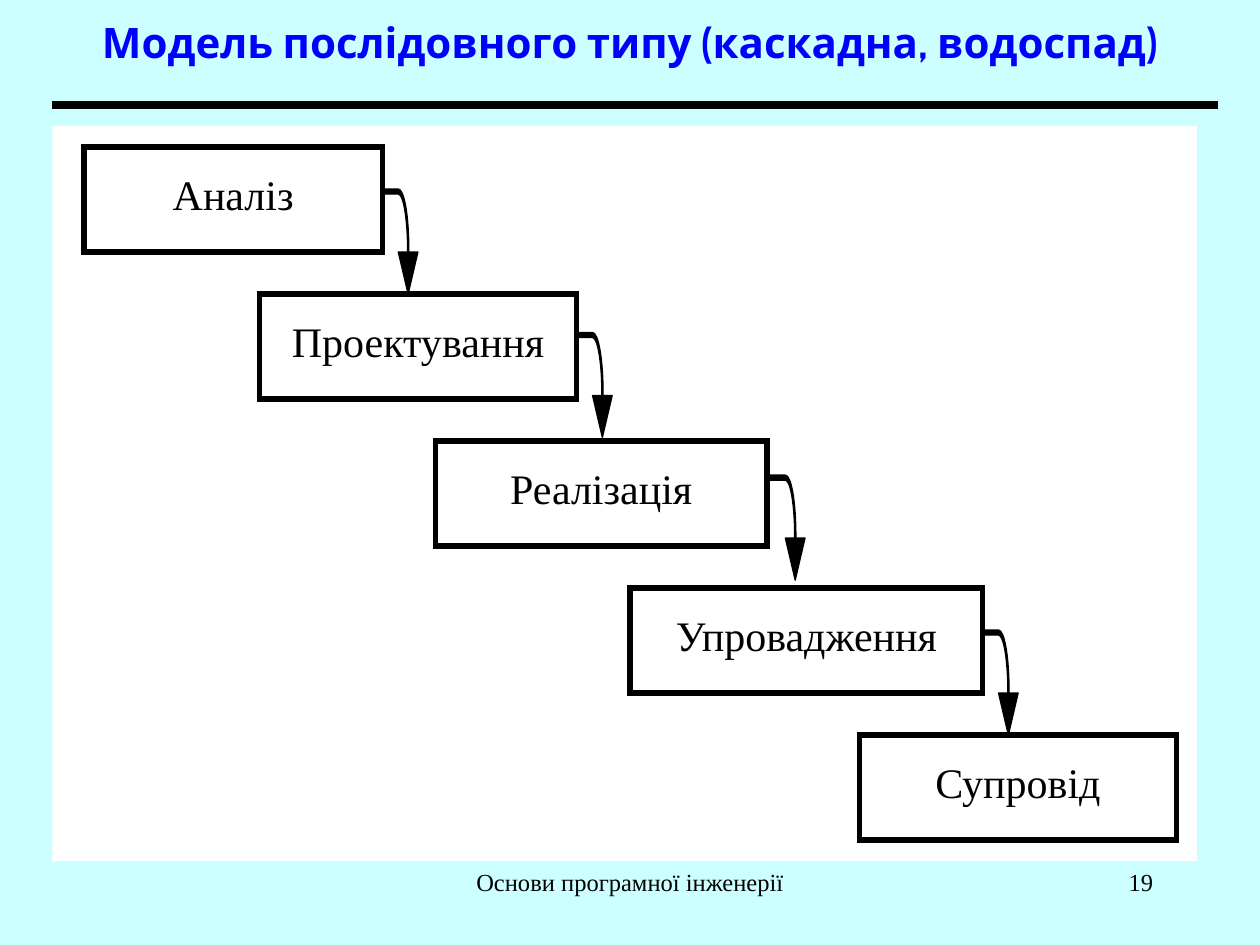
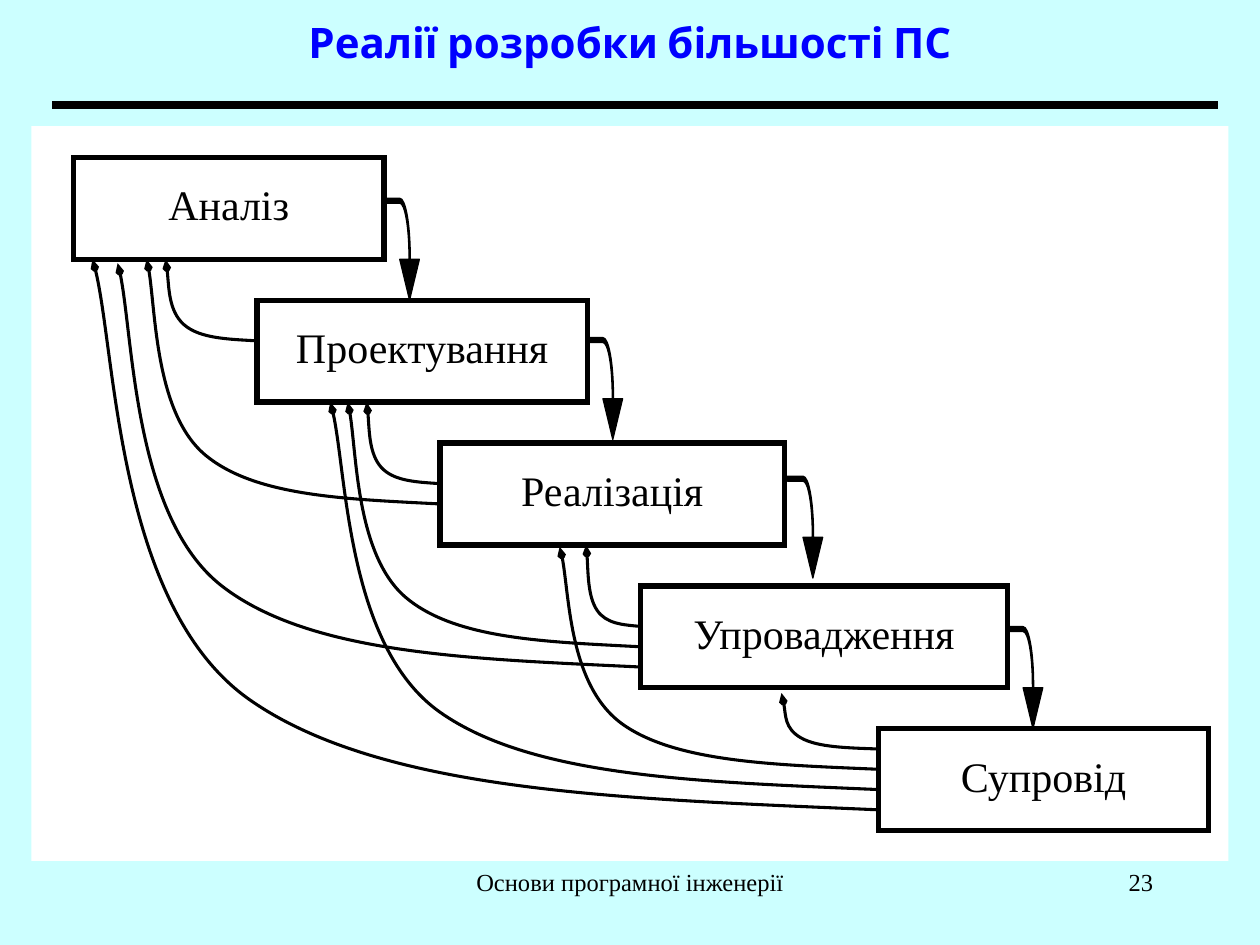
from itertools import chain

from lxml import etree
from pptx import Presentation
from pptx.dml.color import RGBColor
from pptx.enum.shapes import MSO_CONNECTOR, MSO_SHAPE
from pptx.enum.text import MSO_ANCHOR, PP_ALIGN
from pptx.oxml.ns import qn
from pptx.util import Pt

STRAIGHT = MSO_CONNECTOR.STRAIGHT
RECTANGLE = MSO_SHAPE.RECTANGLE
TOP, MIDDLE = MSO_ANCHOR.TOP, MSO_ANCHOR.MIDDLE
CENTER, RIGHT = PP_ALIGN.CENTER, PP_ALIGN.RIGHT

COLORS = {"background": "CCFFFF", "panel": "FFFFFF", "ink": "000000", "title": "0000FF"}
TITLE_FONT, BODY_FONT = "Cabin", "Times New Roman"

FOOTER = "Основи програмної інженерії"
STAGES = ["Аналіз", "Проектування", "Реалізація", "Упровадження", "Супровід"]
STAGE_WIDTHS = [170.6, 181.4, 189.4, 201.6, 181.4]
STAGE_HEIGHT = 60

# Each entry: gap right of the stage, drop below its top.
ARROW_STARTS = [(0, 24), (0, 22), (1.5, 19.5), (0, 24)]
ARROW_PATH = [
    [(0, 0)], [(9, 0)], [(12.4, 0), (15, 15.4), (15, 34.6)], [(15, 36)],
    [(20.2, 36)], [(14.6, 60)], [(9, 36)], [(14.3, 36)], [(14.3, 34.6)],
    [(14.3, 17.3), (11.9, 2.9), (9, 2.9)], [(0, 2.9)],
]
RETURN_PATH = [
    [(0, 0)],
    [(0.32, 0.02), (0.63, 0.03), (0.8, 0.2)],
    [(0.97, 0.37), (0.97, 0.87), (1, 1)],
]

# Each entry: source stage, target stage, exit level, end offset, end gap.
RETURN_LEVEL = 11.6
RETURNS = [
    (1, 0, 2, 52.6, 0), (2, 0, 3, 41.8, 0), (3, 1, 3, 51.8, 0), (4, 2, 2, 68.4, 1),
    (2, 1, 2, 62.6, 0), (3, 2, 2, 83.5, 0), (4, 3, 1, 80.6, 3), (3, 0, 4, 25.2, 2.2),
    (4, 1, 3, 41.8, 0), (4, 0, 4, 10.8, 0),
]

SLIDES = [
    {
        "title": "Модель послідовного типу (каскадна, водоспад)",
        "title_box": (24, 0, 672, 48), "number": "19", "panel": (30, 72, 654, 420),
        "lefts": [18, 118.2, 218.9, 330, 461], "top": 12, "step": 84,
        "scale": (1, 1), "returns": [],
    },
    {
        "title": "Реалії розробки більшості ПС",
        "title_box": (54, 0, 612, 48), "number": "23", "panel": (18, 72, 684, 420),
        "lefts": [24, 128.9, 233.4, 348, 484], "top": 18, "step": 81.6,
        "scale": (1.04, 0.97), "returns": RETURNS,
    },
]


def color(name):
    """Return the named palette colour."""
    return RGBColor.from_string(COLORS[name])


def write_text(shape, text, size, align, anchor=TOP, font=BODY_FONT, ink="ink", bold=False):
    """Fill a shape with one styled paragraph and return the paragraph."""
    frame = shape.text_frame
    frame.word_wrap = True
    frame.vertical_anchor = anchor
    paragraph = frame.paragraphs[0]
    paragraph.text = text
    paragraph.alignment = align
    paragraph.font.name = font
    paragraph.font.size = Pt(size)
    paragraph.font.bold = bold
    paragraph.font.color.rgb = color(ink)
    return paragraph


def add_text(slide, box, text, size, align, **style):
    """Add a text box at the given box."""
    write_text(slide.shapes.add_textbox(*map(Pt, box)), text, size, align, **style)


def set_line(shape, width):
    """Give a shape an ink line and return its line element."""
    shape.line.color.rgb = color("ink")
    shape.line.width = Pt(width)
    return shape._element.spPr.find(qn("a:ln"))


def add_rectangle(slide, box):
    """Add a panel-coloured rectangle without an outline."""
    shape = slide.shapes.add_shape(RECTANGLE, *map(Pt, box))
    shape.shadow.inherit = False
    shape.fill.solid()
    shape.fill.fore_color.rgb = color("panel")
    shape.line.fill.background()
    return shape


def add_path(slide, segments, origin, scale, close):
    """Draw segments of one point (line) or three points (Bezier curve)."""
    points = [
        (Pt(origin[0] + x * scale[0]), Pt(origin[1] + y * scale[1]))
        for x, y in chain.from_iterable(segments)
    ]
    builder = slide.shapes.build_freeform(*points[0])
    builder.add_line_segments(points[1:], close=close)
    shape = builder.convert_to_shape()
    shape.shadow.inherit = False
    lines = iter(list(shape._element.spPr.iter(qn("a:lnTo"))))
    for segment in segments[1:]:
        parts = [next(lines) for _ in segment]
        if len(parts) == 3:
            curve = etree.Element(qn("a:cubicBezTo"))
            parts[0].addprevious(curve)
            for part in parts:
                curve.append(part[0])
                part.getparent().remove(part)
    return shape


def add_stage(slide, box, name):
    """Add one outlined stage box with its name."""
    shape = add_rectangle(slide, box)
    etree.SubElement(set_line(shape, 3), qn("a:miter"), lim="800000")
    shape.text_frame.margin_left = shape.text_frame.margin_right = 0
    write_text(shape, name, 24, CENTER).line_spacing = 1.3


def add_forward_arrow(slide, box, start, scale):
    """Add the solid bent arrow leaving the right side of a stage."""
    left, top, width, _ = box
    gap, drop = start
    origin = (left + width + gap, top + drop * scale[1])
    shape = add_path(slide, ARROW_PATH, origin, (1, scale[1]), True)
    shape.fill.solid()
    shape.fill.fore_color.rgb = color("ink")
    set_line(shape, 0.75)


def add_return_arrow(slide, source, target, level, offset, gap):
    """Add the thin curve from a stage back to the bottom of an earlier one."""
    start = (source[0], source[1] + level * RETURN_LEVEL)
    end = (target[0] + offset, target[1] + target[3] + gap)
    span = (end[0] - start[0], end[1] - start[1])
    shape = add_path(slide, RETURN_PATH, start, span, False)
    shape.fill.background()
    line = set_line(shape, 1.75)
    etree.SubElement(line, qn("a:tailEnd"), type="arrow", w="sm", len="med")


def add_cascade(slide, panel, content):
    """Draw the staircase of stages and its arrows inside the panel."""
    add_rectangle(slide, panel)
    scale = content["scale"]
    boxes = [
        (panel[0] + left, panel[1] + content["top"] + index * content["step"],
         width * scale[0], STAGE_HEIGHT * scale[1])
        for index, (left, width) in enumerate(zip(content["lefts"], STAGE_WIDTHS))
    ]
    for box, name in zip(boxes, STAGES):
        add_stage(slide, box, name)
    for box, start in zip(boxes, ARROW_STARTS):
        add_forward_arrow(slide, box, start, scale)
    for source, target, level, offset, gap in content["returns"]:
        add_return_arrow(slide, boxes[source], boxes[target], level, offset, gap)


def add_frame(slide, content):
    """Add the background, title, rule and footer shared by all slides."""
    slide.background.fill.solid()
    slide.background.fill.fore_color.rgb = color("background")
    add_text(slide, content["title_box"], content["title"], 24, CENTER,
             anchor=MIDDLE, font=TITLE_FONT, ink="title", bold=True)
    rule = slide.shapes.add_connector(STRAIGHT, Pt(30), Pt(60), Pt(696), Pt(60))
    set_line(rule, 4.5)
    etree.SubElement(rule._element.spPr, qn("a:effectLst"))
    add_text(slide, (246, 492, 228, 36), FOOTER, 14, CENTER)
    add_text(slide, (516, 492, 150, 36), content["number"], 14, RIGHT)


def main():
    """Build and save the presentation."""
    presentation = Presentation()
    presentation.slide_width, presentation.slide_height = Pt(720), Pt(540)
    for content in SLIDES:
        slide = presentation.slides.add_slide(presentation.slide_layouts[6])
        add_frame(slide, content)
        add_cascade(slide, content["panel"], content)
    presentation.save("out.pptx")


if __name__ == "__main__":
    main()
